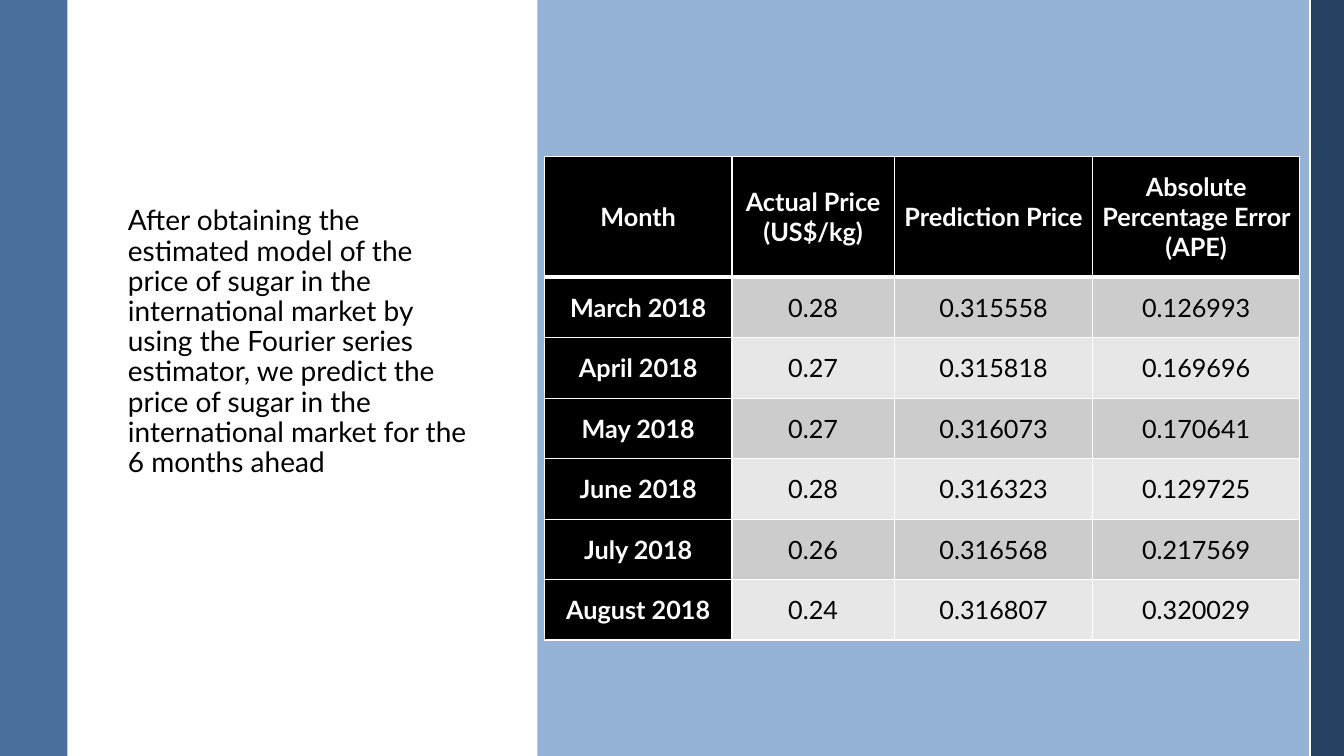
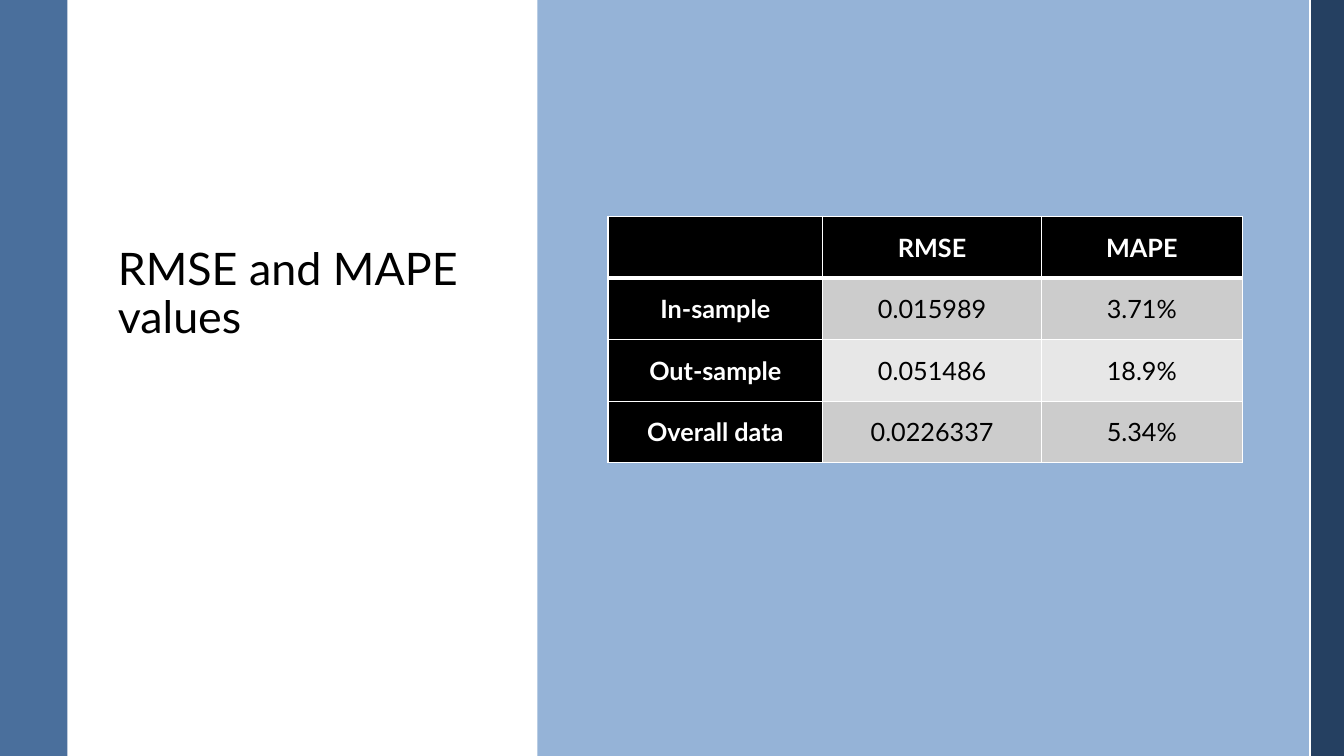
from pptx import Presentation
from pptx.dml.color import RGBColor
from pptx.enum.shapes import MSO_CONNECTOR, MSO_SHAPE
from pptx.enum.text import MSO_ANCHOR, PP_ALIGN
from pptx.oxml.ns import qn
from pptx.util import Inches, Pt
from lxml.etree import SubElement

FONT = "Lato"
BLACK, WHITE = "000000", "FFFFFF"
ROW_FILLS = ["CCCCCC", "E7E7E7"]
SLIDE_WIDTH, SLIDE_HEIGHT = 13.33, 7.5
TEXT_WIDTH = 3.6

# left, width, colour, opacity in percent
BANDS = [
    (0, 0.67, "376092", 90),
    (13, 0.33, "254061", 100),
    (5.33, 7.67, "95B3D7", 100),
]
DIVIDER_X = 12.99

PRICE_TEXT = (
    "After obtaining the estimated model of the price of sugar in the "
    "international market by using the Fourier series estimator, we predict "
    "the price of sugar in the international market for the 6 months ahead"
)
PRICE_ROWS = [
    ["Month", "Actual Price (US$/kg)", "Prediction Price",
     "Absolute Percentage Error (APE)"],
    ["March 2018", "0.28", "0.315558", "0.126993"],
    ["April 2018", "0.27", "0.315818", "0.169696"],
    ["May 2018", "0.27", "0.316073", "0.170641"],
    ["June 2018", "0.28", "0.316323", "0.129725"],
    ["July 2018", "0.26", "0.316568", "0.217569"],
    ["August 2018", "0.24", "0.316807", "0.320029"],
]
ERROR_ROWS = [
    ["", "RMSE", "MAPE"],
    ["In-sample", "0.015989", "3.71%"],
    ["Out-sample", "0.051486", "18.9%"],
    ["Overall data", "0.0226337", "5.34%"],
]


def paint(color_holder, color):
    """Fill a shape or cell with one solid colour."""
    color_holder.fill.solid()
    color_holder.fill.fore_color.rgb = RGBColor.from_string(color)


def add_span(para, text, size, color=BLACK, bold=False):
    span = para.add_run()
    span.text = text
    span.font.name = FONT
    span.font.size = Pt(size)
    span.font.bold = bold
    span.font.color.rgb = RGBColor.from_string(color)


def add_band(page, left, width, color, opacity):
    band = page.shapes.add_shape(
        MSO_SHAPE.RECTANGLE, Inches(left), 0, Inches(width), Inches(SLIDE_HEIGHT))
    band.shadow.inherit = False
    band.line.fill.background()
    paint(band, color)
    if opacity < 100:
        rgb = band.fill._xPr.find(".//" + qn("a:srgbClr"))
        SubElement(rgb, qn("a:alpha"), val=str(opacity * 1000))


def add_divider(page):
    x = Inches(DIVIDER_X)
    line = page.shapes.add_connector(
        MSO_CONNECTOR.STRAIGHT, x, 0, x, Inches(SLIDE_HEIGHT))
    line.line.width = Pt(1.5)
    line.line.color.rgb = RGBColor.from_string(WHITE)
    SubElement(line._element.spPr, qn("a:effectLst"))


def add_page(deck):
    """Add a blank slide with the shared bands and divider."""
    page = deck.slides.add_slide(deck.slide_layouts[6])
    for band in BANDS:
        add_band(page, *band)
    add_divider(page)
    return page


def add_side_text(page, left, top, height, text, size):
    box = page.shapes.add_textbox(
        Inches(left), Inches(top), Inches(TEXT_WIDTH), Inches(height))
    box.text_frame.word_wrap = True
    para = box.text_frame.paragraphs[0]
    para.line_spacing = 0.9
    add_span(para, text, size)


def set_borders(cell, top, bottom):
    """Draw white cell borders; top and bottom are widths in points."""
    properties = cell._tc.get_or_add_tcPr()
    for side, width in (("L", 1), ("R", 1), ("T", top), ("B", bottom)):
        border = SubElement(properties, qn(f"a:ln{side}"), w=str(Pt(width)))
        fill = SubElement(border, qn("a:solidFill"))
        SubElement(fill, qn("a:srgbClr"), val=WHITE)


def style_cell(cell, text, row, column):
    heading = row == 0 or column == 0
    set_borders(cell, top=3 if row == 1 else 1, bottom=3 if row == 0 else 1)
    paint(cell, BLACK if heading else ROW_FILLS[(row - 1) % 2])
    cell.vertical_anchor = MSO_ANCHOR.MIDDLE
    cell.margin_left = cell.margin_right = Inches(0.07)
    cell.margin_top = cell.margin_bottom = 0
    if text:
        para = cell.text_frame.paragraphs[0]
        para.alignment = PP_ALIGN.CENTER
        add_span(para, text, 18, WHITE if heading else BLACK, heading)


def add_data_table(page, left, top, widths, heights, rows):
    table = page.shapes.add_table(
        len(rows), len(widths), Inches(left), Inches(top),
        Inches(sum(widths)), Inches(sum(heights))).table
    for column, width in zip(table.columns, widths):
        column.width = Inches(width)
    for table_row, height in zip(table.rows, heights):
        table_row.height = Inches(height)
    for row, texts in enumerate(rows):
        for column, text in enumerate(texts):
            style_cell(table.cell(row, column), text, row, column)


def main():
    deck = Presentation()
    deck.slide_width = Inches(SLIDE_WIDTH)
    deck.slide_height = Inches(SLIDE_HEIGHT)

    page = add_page(deck)
    add_side_text(page, 1.17, 2, 4.75, PRICE_TEXT, 20)
    add_data_table(page, 5.4, 1.55, [1.86, 1.61, 1.97, 2.05],
                   [1.2] + [0.6] * 6, PRICE_ROWS)

    page = add_page(deck)
    add_side_text(page, 1.07, 2.4, 3.34, "RMSE and MAPE values", 32)
    add_data_table(page, 6.03, 2.15, [2.13, 2.17, 1.99],
                   [0.61] * 4, ERROR_ROWS)

    deck.save("out.pptx")


if __name__ == "__main__":
    main()
